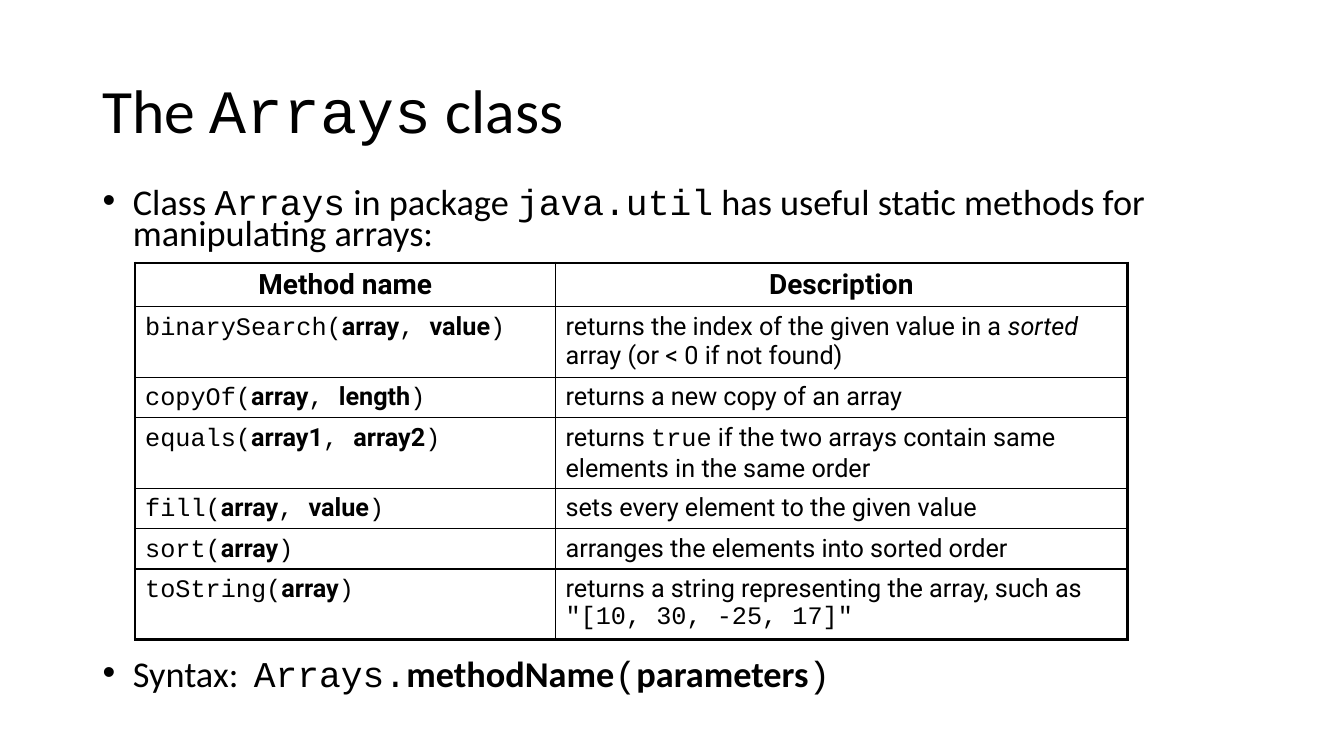
from pptx import Presentation
from pptx.dml.color import RGBColor
from pptx.enum.text import MSO_ANCHOR, PP_ALIGN
from pptx.oxml.ns import qn
from pptx.util import Inches, Pt
from lxml import etree

BLACK = RGBColor(0x00, 0x00, 0x00)
WHITE = RGBColor(0xFF, 0xFF, 0xFF)
MIDDLE = MSO_ANCHOR.MIDDLE
TOP = MSO_ANCHOR.TOP
CENTER = PP_ALIGN.CENTER
LEFT = PP_ALIGN.LEFT

SANS, CODE, TABLE_FONT = "Calibri", "Courier New", "Roboto"
BULLET_INDENT = Inches(0.3)
THIN, THICK = Pt(1), Pt(2.25)
COLUMN_WIDTHS = [4.17, 5.67]
ROW_HEIGHTS = [0.43, 0.7, 0.4, 0.7, 0.4, 0.4, 0.7]

# Each text is a list of spans: (words, font, style), style "b", "i" or ""
TITLE = [("The ", SANS, ""), ("Arrays", CODE, ""), (" class", SANS, "")]
INTRO = [
    ("Class ", SANS, ""), ("Arrays", CODE, ""), (" in package ", SANS, ""),
    ("java.util", CODE, ""),
    (" has useful static methods for manipulating arrays:", SANS, ""),
]
SYNTAX = [
    ("Syntax:\t", SANS, ""), ("Arrays.", CODE, ""), ("methodName", SANS, "b"),
    ("(", CODE, ""), ("parameters", SANS, "b"), (")", CODE, ""),
]
HEADINGS = ["Method name", "Description"]
METHODS = [
    ("binarySearch", ["array", "value"], [
        ("returns the index of the given value in a ", TABLE_FONT, ""),
        ("sorted", TABLE_FONT, "i"),
        (" array (or < 0 if not found)", TABLE_FONT, "")]),
    ("copyOf", ["array", "length"],
     [("returns a new copy of an array", TABLE_FONT, "")]),
    ("equals", ["array1", "array2"], [
        ("returns ", TABLE_FONT, ""), ("true", CODE, ""),
        (" if the two arrays contain same elements in the same order",
         TABLE_FONT, "")]),
    ("fill", ["array", "value"],
     [("sets every element to the given value", TABLE_FONT, "")]),
    ("sort", ["array"],
     [("arranges the elements into sorted order", TABLE_FONT, "")]),
    ("toString", ["array"], [
        ("returns a string representing the array, such as ", TABLE_FONT, ""),
        ('"[10, 30, -25, 17]"', CODE, "")]),
]


def add_spans(para, spans, size):
    for words, font, style in spans:
        span = para.add_run()
        span.text = words
        span.font.name = font
        span.font.size = Pt(size)
        span.font.bold = style == "b"
        span.font.italic = style == "i"
        span.font.color.rgb = BLACK


def add_text(page, box, spans, size, spacing, anchor):
    frame = page.shapes.add_textbox(*map(Inches, box)).text_frame
    frame.word_wrap = True
    frame.vertical_anchor = anchor
    para = frame.paragraphs[0]
    para.line_spacing = spacing
    add_spans(para, spans, size)
    return para


def add_title(page, box):
    add_text(page, box, TITLE, 44, 0.9, MIDDLE)


def add_bullet(page, box, spans):
    para = add_text(page, box, spans, 25.9, 0.7, TOP)
    properties = para._p.get_or_add_pPr()
    properties.set("marL", str(BULLET_INDENT))
    properties.set("indent", str(-BULLET_INDENT))
    etree.SubElement(properties, qn("a:buFont"), typeface="Arial")
    etree.SubElement(properties, qn("a:buChar"), char="•")


def signature(name, parameters):
    spans = [(name + "(", CODE, "")]
    for index, parameter in enumerate(parameters):
        if index:
            spans.append((", ", CODE, ""))
        spans.append((parameter, TABLE_FONT, "b"))
    return spans + [(")", CODE, "")]


def set_borders(cell, widths):
    properties = cell._tc.get_or_add_tcPr()
    # Border lines come before the fill in a cell's properties
    for position, (side, width) in enumerate(widths.items()):
        line = etree.Element(qn("a:" + side), w=str(width))
        fill = etree.SubElement(line, qn("a:solidFill"))
        etree.SubElement(fill, qn("a:srgbClr"), val=str(BLACK))
        properties.insert(position, line)


def add_method_table(page, box):
    rows = [[[(heading, TABLE_FONT, "b")] for heading in HEADINGS]]
    rows += [[signature(name, parameters), description]
             for name, parameters, description in METHODS]
    last_row, last_column = len(rows) - 1, len(HEADINGS) - 1
    table = page.shapes.add_table(
        len(rows), len(HEADINGS), *map(Inches, box)).table
    table.first_row = table.horz_banding = False
    for column, width in zip(table.columns, COLUMN_WIDTHS):
        column.width = Inches(width)
    for row, height in zip(table.rows, ROW_HEIGHTS):
        row.height = Inches(height)

    for r, row in enumerate(rows):
        for c, spans in enumerate(row):
            cell = table.cell(r, c)
            cell.fill.solid()
            cell.fill.fore_color.rgb = WHITE
            para = cell.text_frame.paragraphs[0]
            para.alignment = CENTER if r == 0 else LEFT
            add_spans(para, spans, 20 if r == 0 else 18)
            set_borders(cell, {
                "lnL": THICK if c == 0 else THIN,
                "lnR": THICK if c == last_column else THIN,
                "lnT": THICK if r == 0 else THIN,
                "lnB": THICK if r == last_row else THIN,
            })


def add_arrays_slide(deck):
    page = deck.slides.add_slide(deck.slide_layouts[6])
    left, width = 0.92, 11.5
    add_title(page, (left, 0.4, width, 1.45))
    add_bullet(page, (left, 1.85, width, 0.75), INTRO)
    add_method_table(page, (1.34, 2.61, sum(COLUMN_WIDTHS), sum(ROW_HEIGHTS)))
    add_bullet(page, (left, 6.53, width, 0.5), SYNTAX)


def main():
    deck = Presentation()
    deck.slide_width, deck.slide_height = Inches(13.33), Inches(7.5)
    add_arrays_slide(deck)
    deck.save("out.pptx")


if __name__ == "__main__":
    main()
